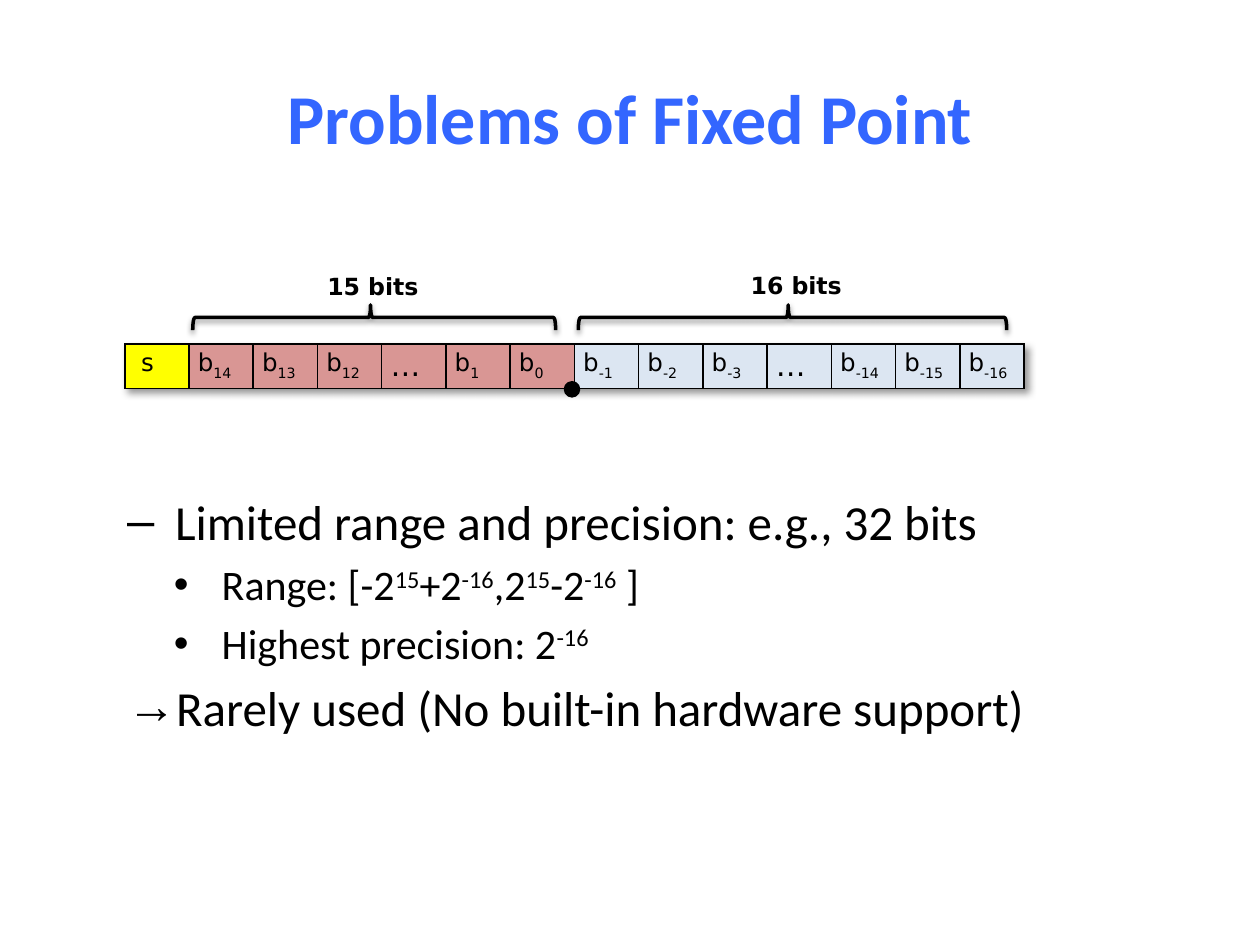
import dataclasses
import typing

import lxml.etree
import pptx
import pptx.dml.color
import pptx.enum.shapes
import pptx.enum.text
import pptx.oxml
import pptx.oxml.ns
import pptx.util

Inches = pptx.util.Inches
Pt = pptx.util.Pt
qn = pptx.oxml.ns.qn

COLORS = {
    "title": "3366FF",
    "ink": "000000",
    "sign": "FFFF00",
    "integer": "D99694",
    "fraction": "DCE6F2",
}
TEXT_FONT = "Calibri"
BIT_FONT = "DejaVu Sans"
CELL_WIDTH, CELL_HEIGHT = 0.51, 0.35
SUBSCRIPT, SUPERSCRIPT = -25, 30


class Span(typing.NamedTuple):
    text: str
    baseline: int = 0


@dataclasses.dataclass
class Bullet:
    spans: list[Span]
    level: int
    mark: str
    size: float
    indent: float = 0.38


@dataclasses.dataclass
class BitField:
    color: str
    bits: list[str]


@dataclasses.dataclass
class Brace:
    left: float
    top: float
    width: float
    label: str
    label_left: float
    label_top: float
    label_width: float
    wraps: bool


BULLETS = [
    Bullet([Span("Limited range and precision: e.g., 32 bits")], 1, "–", 28),
    Bullet(
        [
            Span("Range: [-2"), Span("15", SUPERSCRIPT),
            Span("+2"), Span("-16", SUPERSCRIPT),
            Span(",2"), Span("15", SUPERSCRIPT),
            Span("-2"), Span("-16", SUPERSCRIPT), Span(" ]"),
        ],
        2, "•", 24, 0.75,
    ),
    Bullet([Span("Highest precision: 2"), Span("-16", SUPERSCRIPT)], 2, "•", 24, 0.75),
    Bullet([Span("Rarely used (No built-in hardware support)")], 0, "→", 28),
]
FIELDS = [
    BitField("sign", ["s"]),
    BitField("integer", ["14", "13", "12", "…", "1", "0"]),
    BitField("fraction", ["-1", "-2", "-3", "…", "-14", "-15", "-16"]),
]
BRACES = [
    Brace(1.53, 2.42, 2.88, "15 bits", 2.5, 2.11, 0.93, False),
    Brace(4.59, 2.42, 3.4, "16 bits", 5.86, 2.1, 1.04, True),
]


def rgb(name: str) -> pptx.dml.color.RGBColor:
    return pptx.dml.color.RGBColor.from_string(COLORS[name])


def add_span(para, span: Span, size: float, font: str, color="ink", bold=False) -> None:
    run = para.add_run()
    run.text = span.text
    run.font.size = Pt(size)
    run.font.name = font
    run.font.bold = bold
    run.font.color.rgb = rgb(color)
    if span.baseline:
        run._r.get_or_add_rPr().set("baseline", str(span.baseline * 1000))


def shadow_effect(blur: float, distance: float, angle: int, opacity: int):
    return pptx.oxml.parse_xml(
        f'<a:effectLst {pptx.oxml.ns.nsdecls("a")}>'
        f'<a:outerShdw blurRad="{Pt(blur)}" dist="{Pt(distance)}" dir="{angle * 60000}" '
        f'algn="tl" rotWithShape="0"><a:srgbClr val="{COLORS["ink"]}">'
        f'<a:alpha val="{opacity * 1000}"/></a:srgbClr></a:outerShdw></a:effectLst>'
    )


def add_bullet(para, bullet: Bullet) -> None:
    para.level = bullet.level
    properties = para._p.get_or_add_pPr()
    properties.set("marL", str(Inches(bullet.indent)))
    properties.set("indent", str(Inches(-0.38)))
    lxml.etree.SubElement(properties, qn("a:buChar")).set("char", bullet.mark)
    for span in bullet.spans:
        add_span(para, span, bullet.size, TEXT_FONT)


def add_borders(cell) -> None:
    properties = cell._tc.get_or_add_tcPr()
    for side in ("lnL", "lnR", "lnT", "lnB"):
        line = lxml.etree.SubElement(properties, qn(f"a:{side}"), w=str(Pt(1)))
        fill = lxml.etree.SubElement(line, qn("a:solidFill"))
        lxml.etree.SubElement(fill, qn("a:srgbClr"), val=COLORS["ink"])


def fill_cell(cell, bit: str, color: str) -> None:
    add_borders(cell)
    cell.fill.solid()
    cell.fill.fore_color.rgb = rgb(color)
    cell.margin_left = Inches(0.13 if bit == "s" else 0.07)
    cell.margin_right = Inches(0.07)
    cell.margin_top = cell.margin_bottom = Inches(0.04)
    para = cell.text_frame.paragraphs[0]
    if bit == "…":
        add_span(para, Span(bit), 17, BIT_FONT)
    elif bit == "s":
        add_span(para, Span(bit), 14, BIT_FONT)
    else:
        add_span(para, Span("b"), 14, BIT_FONT)
        add_span(para, Span(bit, SUBSCRIPT), 14, BIT_FONT)


def add_bit_table(page) -> None:
    cells = [(bit, field.color) for field in FIELDS for bit in field.bits]
    table = page.shapes.add_table(
        1, len(cells), Inches(0.99), Inches(2.73),
        Inches(CELL_WIDTH * len(cells)), Inches(CELL_HEIGHT),
    ).table
    table.first_row = table.horz_banding = False
    table._tbl.tblPr.insert(0, shadow_effect(4, 3, 45, 40))
    for column, (bit, color) in enumerate(cells):
        table.columns[column].width = Inches(CELL_WIDTH)
        fill_cell(table.cell(0, column), bit, color)


def add_brace(page, brace: Brace) -> None:
    # The brace is drawn upright, then turned about its centre
    depth = 0.2
    shape = page.shapes.add_shape(
        pptx.enum.shapes.MSO_SHAPE.LEFT_BRACE,
        Inches(brace.left + (brace.width - depth) / 2),
        Inches(brace.top + (depth - brace.width) / 2),
        Inches(depth), Inches(brace.width),
    )
    shape.rotation = 90
    shape._element.spPr.find(qn("a:xfrm")).set("flipV", "1")
    shape.adjustments[0], shape.adjustments[1] = 0.08, 0.49
    shape.fill.background()
    shape.line.color.rgb = rgb("ink")
    shape.line.width = Pt(2)
    shape._element.spPr.append(shadow_effect(3.1, 1.6, 90, 38))

    label = page.shapes.add_textbox(
        Inches(brace.label_left), Inches(brace.label_top),
        Inches(brace.label_width), Inches(0.33),
    )
    label.text_frame.word_wrap = brace.wraps
    label.text_frame.auto_size = pptx.enum.text.MSO_AUTO_SIZE.SHAPE_TO_FIT_TEXT
    add_span(label.text_frame.paragraphs[0], Span(brace.label), 13.5, BIT_FONT, bold=True)


def place(shape, left: float, top: float, width: float, height: float) -> None:
    shape.left, shape.top = Inches(left), Inches(top)
    shape.width, shape.height = Inches(width), Inches(height)


def main() -> None:
    deck = pptx.Presentation()
    deck.slide_width, deck.slide_height = Inches(10), Inches(7.5)
    page = deck.slides.add_slide(deck.slide_layouts[1])

    # Title
    title = page.shapes.title
    place(title, 0.5, 0.3, 9, 1.25)
    title.text_frame.vertical_anchor = pptx.enum.text.MSO_ANCHOR.MIDDLE
    heading = title.text_frame.paragraphs[0]
    heading.alignment = pptx.enum.text.PP_ALIGN.CENTER
    add_span(heading, Span("Problems of Fixed Point"), 40, TEXT_FONT, "title", True)

    # Bulleted list
    body = page.placeholders[1]
    place(body, 0.91, 3.85, 8.07, 2.43)
    for number, bullet in enumerate(BULLETS):
        frame = body.text_frame
        para = frame.add_paragraph() if number else frame.paragraphs[0]
        add_bullet(para, bullet)
    body.text_frame.paragraphs[0].space_before = Pt(0)

    # Bit layout with its binary point
    add_bit_table(page)
    point = page.shapes.add_shape(
        pptx.enum.shapes.MSO_SHAPE.OVAL, Inches(4.49), Inches(3.04), Inches(0.1), Inches(0.1)
    )
    point.shadow.inherit = False
    point.fill.solid()
    point.fill.fore_color.rgb = point.line.color.rgb = rgb("ink")
    point.line.width = Pt(2.25)

    # Braces with bit counts
    for brace in BRACES:
        add_brace(page, brace)

    deck.save("out.pptx")


if __name__ == "__main__":
    main()
